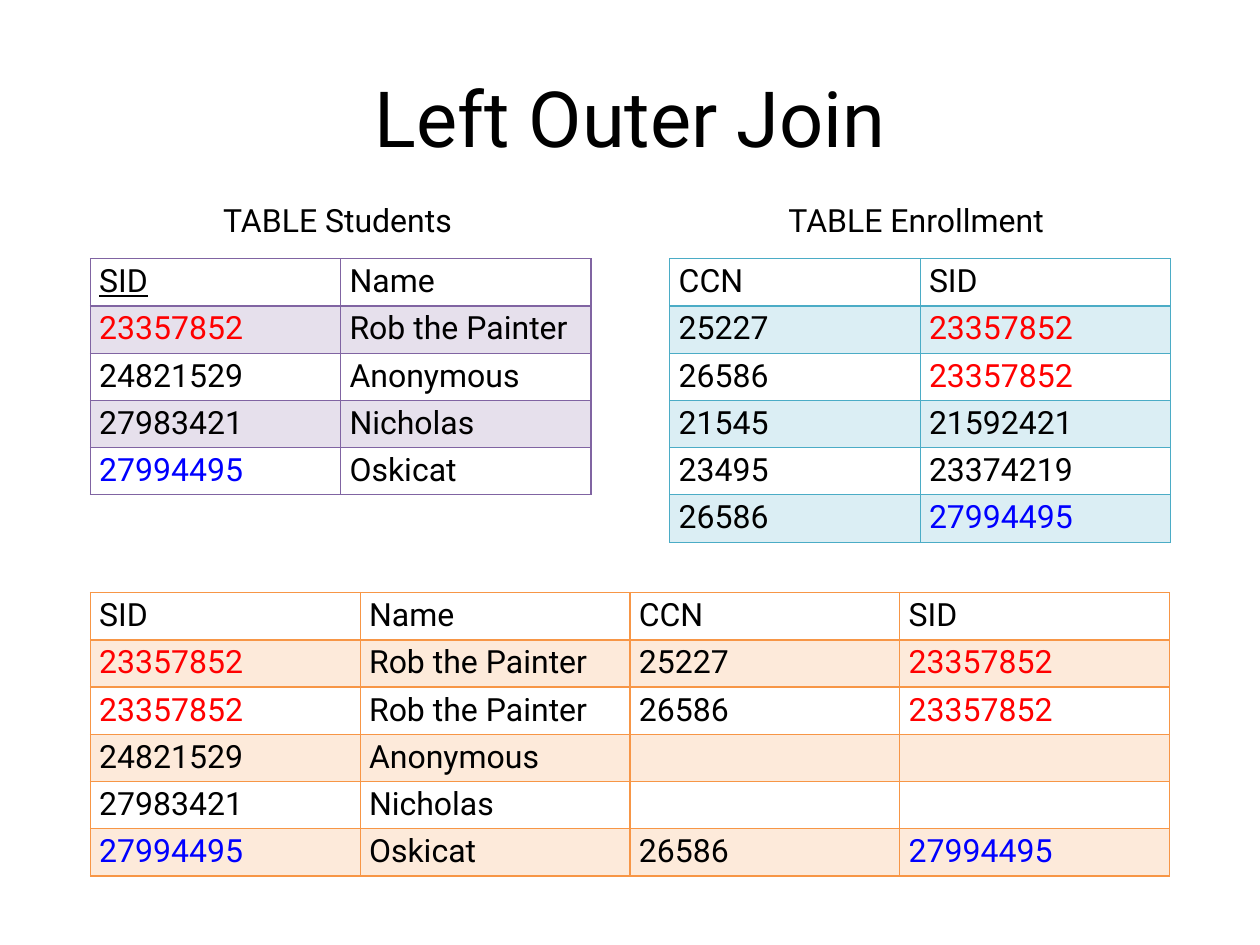
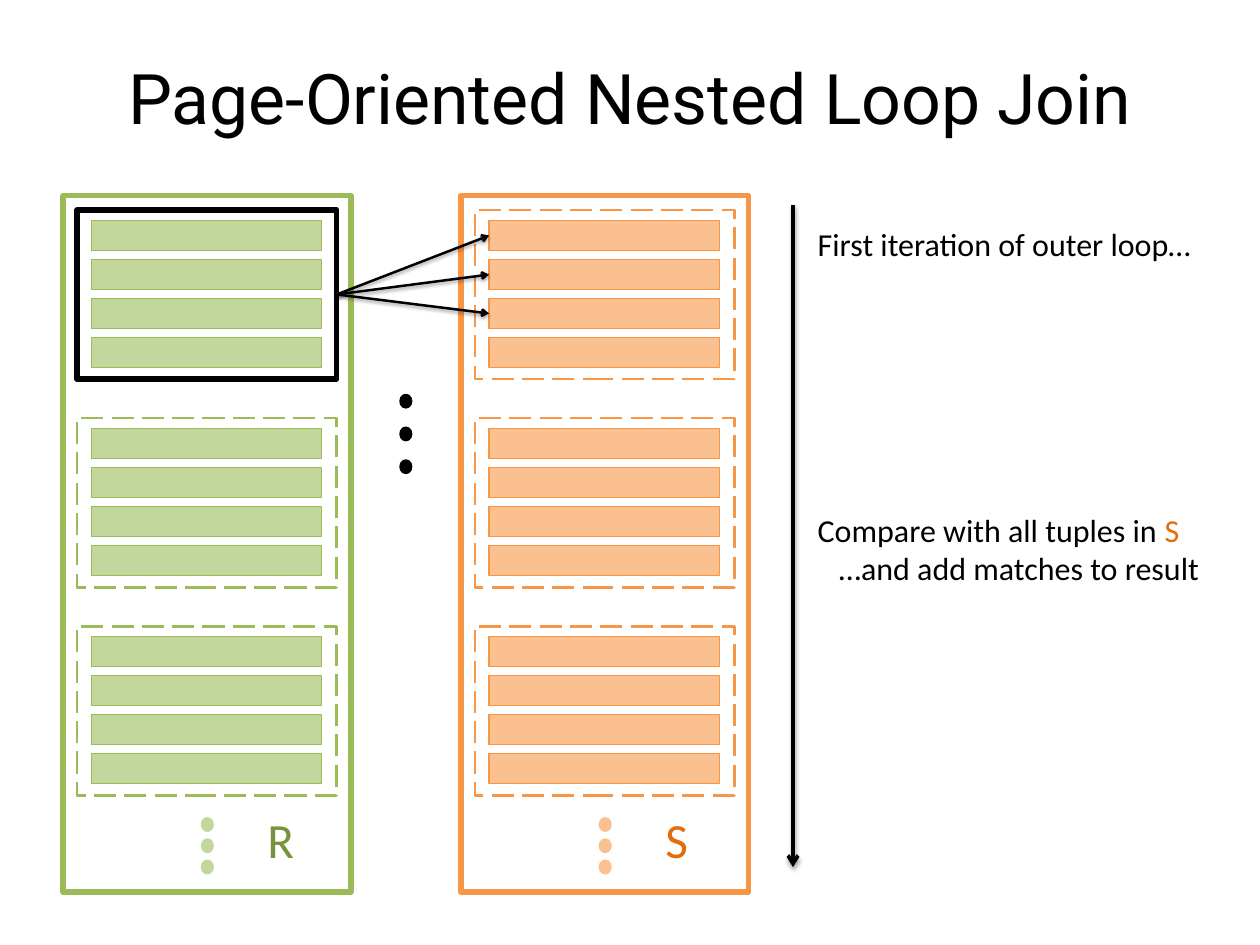
from lxml import etree
from pptx import Presentation
from pptx.dml.color import RGBColor
from pptx.enum.dml import MSO_LINE
from pptx.enum.shapes import MSO_CONNECTOR, MSO_SHAPE
from pptx.enum.text import MSO_ANCHOR, MSO_AUTO_SIZE, PP_ALIGN
from pptx.oxml.ns import qn
from pptx.util import Inches, Pt

RECTANGLE, OVAL = MSO_SHAPE.RECTANGLE, MSO_SHAPE.OVAL
STRAIGHT = MSO_CONNECTOR.STRAIGHT
LONG_DASH = MSO_LINE.LONG_DASH
MIDDLE = MSO_ANCHOR.MIDDLE
CENTER = PP_ALIGN.CENTER
NO_AUTOFIT, FIT_SHAPE = MSO_AUTO_SIZE.NONE, MSO_AUTO_SIZE.SHAPE_TO_FIT_TEXT
LEFT_SITE, RIGHT_SITE = 1, 3

# Shared style
BLACK = RGBColor(0x00, 0x00, 0x00)
RED = RGBColor(0xFF, 0x00, 0x00)
BLUE = RGBColor(0x00, 0x00, 0xFF)
PURPLE = RGBColor(0x80, 0x64, 0xA2)
PALE_PURPLE = RGBColor(0xE6, 0xE0, 0xEC)
TEAL = RGBColor(0x4B, 0xAC, 0xC6)
PALE_TEAL = RGBColor(0xDB, 0xEE, 0xF4)
ORANGE = RGBColor(0xF7, 0x96, 0x46)
PALE_ORANGE = RGBColor(0xFD, 0xEA, 0xDA)
LIGHT_ORANGE = RGBColor(0xFA, 0xC0, 0x90)
DARK_ORANGE = RGBColor(0xE4, 0x6C, 0x0A)
GREEN = RGBColor(0x9B, 0xBB, 0x59)
LIGHT_GREEN = RGBColor(0xC3, 0xD6, 0x9B)
DARK_GREEN = RGBColor(0x77, 0x93, 0x3C)
ROBOTO, CALIBRI = "Roboto", "Calibri"
BODY_SIZE = 26

# Slide 1 content
CAPTIONS = [("TABLE Students", 2.42, 2.87), ("TABLE Enrollment", 8.8, 3.17)]
MATCH_COLORS = {"23357852": RED, "27994495": BLUE}
TABLES = [
    {"left": 1.02, "top": 2.92, "width": 5.65, "line": PURPLE, "band": PALE_PURPLE,
     "key": (0, 0),
     "rows": [("SID", "Name"),
              ("23357852", "Rob the Painter"),
              ("24821529", "Anonymous"),
              ("27983421", "Nicholas"),
              ("27994495", "Oskicat")]},
    {"left": 7.56, "top": 2.92, "width": 5.65, "line": TEAL, "band": PALE_TEAL,
     "key": None,
     "rows": [("CCN", "SID"),
              ("25227", "23357852"),
              ("26586", "23357852"),
              ("21545", "21592421"),
              ("23495", "23374219"),
              ("26586", "27994495")]},
    {"left": 1.02, "top": 6.69, "width": 12.18, "line": ORANGE, "band": PALE_ORANGE,
     "key": None,
     "rows": [("SID", "Name", "CCN", "SID"),
              ("23357852", "Rob the Painter", "25227", "23357852"),
              ("23357852", "Rob the Painter", "26586", "23357852"),
              ("24821529", "Anonymous", "", ""),
              ("27983421", "Nicholas", "", ""),
              ("27994495", "Oskicat", "26586", "27994495")]},
]
TABLE_ROW_HEIGHT = 3.2 / 6

# Slide 2 content
RELATIONS = [
    {"name": "R", "left": 0.71, "label_width": 0.51,
     "line": GREEN, "fill": LIGHT_GREEN, "text": DARK_GREEN},
    {"name": "S", "left": 5.2, "label_width": 0.46,
     "line": ORANGE, "fill": LIGHT_ORANGE, "text": DARK_ORANGE},
]
NOTES = [
    (2.49, 4.48, 0.54, [[("First iteration of outer loop…", BLACK)]]),
    (5.71, 4.57, 0.98, [[("Compare with all tuples in ", BLACK), ("S", DARK_ORANGE)],
                        [("…and add matches to result", BLACK)]]),
]
PAGE_COUNT, TUPLE_COUNT, COMPARED_COUNT = 3, 4, 3
PAGE_TOP, PAGE_PITCH = 2.37, 2.35
PAGE_WIDTH, PAGE_HEIGHT = 2.93, 1.91
TUPLE_PITCH = 0.44


def add_titled_slide(presentation, text, top, size):
    slide = presentation.slides.add_slide(presentation.slide_layouts[5])
    title = slide.shapes.title
    title.left, title.top = Inches(0.71), Inches(top)
    title.width, title.height = Inches(12.8), Inches(1.78)
    frame = title.text_frame
    frame.text = text
    frame.auto_size = NO_AUTOFIT
    frame.vertical_anchor = MIDDLE
    frame.margin_left = frame.margin_right = Inches(0.14)
    frame.margin_top = frame.margin_bottom = Inches(0.07)
    paragraph = frame.paragraphs[0]
    paragraph.alignment = CENTER
    style_font(paragraph.font, ROBOTO, size, BLACK)
    return slide


def style_font(font, name, size, color):
    font.name, font.size = name, Pt(size)
    font.color.rgb = color


def add_text(shapes, box, lines, name, size):
    """Each line is a list of (text, color) runs; later lines are indented."""
    frame = shapes.add_textbox(*map(Inches, box)).text_frame
    frame.word_wrap = False
    frame.auto_size = FIT_SHAPE
    for index, runs in enumerate(lines):
        paragraph = frame.add_paragraph() if index else frame.paragraphs[0]
        if index:
            paragraph._p.get_or_add_pPr().set("marL", str(Inches(0.24)))
        for text, color in runs:
            run = paragraph.add_run()
            run.text = text
            style_font(run.font, name, size, color)


def add_figure(shapes, kind, box, line, weight, fill=None, dash=None):
    shape = shapes.add_shape(kind, *map(Inches, box))
    shape.shadow.inherit = False
    if fill is None:
        shape.fill.background()
    else:
        shape.fill.solid()
        shape.fill.fore_color.rgb = fill
    shape.line.color.rgb = line
    shape.line.width = Pt(weight)
    if dash is not None:
        shape.line.dash_style = dash
    return shape


def add_dots(shapes, left, top, pitch, color):
    dots = shapes.add_group_shape().shapes
    for index in range(3):
        add_figure(dots, OVAL, (left, top + index * pitch, 0.12, 0.14), color, 2, color)


def add_arrow(shapes, start, end, weight, opacity, distance):
    arrow = shapes.add_connector(STRAIGHT, *map(Inches, start + end))
    arrow.line.color.rgb = BLACK
    arrow.line.width = Pt(weight)
    etree.SubElement(arrow.line._get_or_add_ln(), qn("a:tailEnd"), type="arrow")
    # Soft shadow straight below the line
    effects = etree.SubElement(arrow._element.spPr, qn("a:effectLst"))
    shadow = etree.SubElement(effects, qn("a:outerShdw"), blurRad=str(Pt(3.1)),
                              dist=str(Pt(distance)), dir="5400000", rotWithShape="0")
    color = etree.SubElement(shadow, qn("a:srgbClr"), val=str(BLACK))
    etree.SubElement(color, qn("a:alpha"), val=str(opacity * 1000))
    return arrow


def set_borders(cell, color, bottom_weight):
    properties = cell._tc.get_or_add_tcPr()
    weights = {"lnL": 1, "lnR": 1, "lnT": 1, "lnB": bottom_weight}
    for index, (side, weight) in enumerate(weights.items()):
        border = etree.Element(qn(f"a:{side}"), w=str(Pt(weight)))
        fill = etree.SubElement(border, qn("a:solidFill"))
        etree.SubElement(fill, qn("a:srgbClr"), val=str(color))
        properties.insert(index, border)


def add_data_table(shapes, data):
    rows = data["rows"]
    columns = len(rows[0])
    box = data["left"], data["top"], data["width"], TABLE_ROW_HEIGHT * len(rows)
    table = shapes.add_table(len(rows), columns, *map(Inches, box)).table
    table.first_row = table.horz_banding = False
    for row_index, row in enumerate(rows):
        for column_index, text in enumerate(row):
            cell = table.cell(row_index, column_index)
            cell.text = text
            font = cell.text_frame.paragraphs[0].font
            style_font(font, ROBOTO, BODY_SIZE, MATCH_COLORS.get(text, BLACK))
            if (row_index, column_index) == data["key"]:
                font.underline = True
            if row_index % 2:
                cell.fill.solid()
                cell.fill.fore_color.rgb = data["band"]
            else:
                cell.fill.background()
            # The line below the header is heavier, seen from both rows
            set_borders(cell, data["line"], 1 if row_index else 2)
            if row_index == 1:
                cell._tc.tcPr.find(qn("a:lnT")).set("w", str(Pt(2)))


def add_page(shapes, relation, top):
    page = shapes.add_group_shape().shapes
    left, line = relation["left"], relation["line"]
    add_figure(page, RECTANGLE, (left + 0.16, top, PAGE_WIDTH, PAGE_HEIGHT),
               line, 2.25, dash=LONG_DASH)
    return [add_figure(page, RECTANGLE,
                       (left + 0.32, top + 0.12 + index * TUPLE_PITCH, 2.6, 0.34),
                       line, 1, relation["fill"])
            for index in range(TUPLE_COUNT)]


def add_relation(shapes, relation):
    left = relation["left"]
    add_figure(shapes, RECTANGLE, (left, 2.21, 3.25, 7.86), relation["line"], 4.5)
    pages = [add_page(shapes, relation, PAGE_TOP + index * PAGE_PITCH)
             for index in range(PAGE_COUNT)]
    add_dots(shapes, left + 1.57, 9.24, 0.24, relation["fill"])
    add_text(shapes, (left + 2.21, 9.09, relation["label_width"], 0.77),
             [[(relation["name"], relation["text"])]], CALIBRI, 40)
    return pages


def build_outer_join(presentation):
    shapes = add_titled_slide(presentation, "Left Outer Join", 0.43, 63).shapes
    for text, left, width in CAPTIONS:
        add_text(shapes, (left, 2.21, width, 0.54), [[(text, BLACK)]], ROBOTO, BODY_SIZE)
    for data in TABLES:
        add_data_table(shapes, data)


def build_nested_loop(presentation):
    shapes = add_titled_slide(presentation, "Page-Oriented Nested Loop Join",
                              0.2, 56.7).shapes
    outer, inner = RELATIONS
    add_relation(shapes, outer)
    inner_pages = add_relation(shapes, inner)

    # Current outer page and the tuples it is compared with
    current_page = add_figure(shapes, RECTANGLE,
                              (outer["left"] + 0.16, PAGE_TOP, PAGE_WIDTH, PAGE_HEIGHT),
                              BLACK, 4.5)
    for target in inner_pages[0][:COMPARED_COUNT]:
        arrow = add_arrow(shapes, (3.8, 3.33), (5.52, 3.1), 2, 38, 1.6)
        arrow.begin_connect(current_page, RIGHT_SITE)
        arrow.end_connect(target, LEFT_SITE)
    add_dots(shapes, 4.52, 4.46, 0.37, BLACK)

    # Time line with notes
    add_arrow(shapes, (8.95, 2.31), (8.95, 9.79), 3, 35, 1.8)
    for top, width, height, lines in NOTES:
        add_text(shapes, (9.13, top, width, height), lines, CALIBRI, BODY_SIZE)


def main():
    presentation = Presentation()
    presentation.slide_width = Inches(14.22)
    presentation.slide_height = Inches(10.67)
    build_outer_join(presentation)
    build_nested_loop(presentation)
    presentation.save("out.pptx")


if __name__ == "__main__":
    main()
